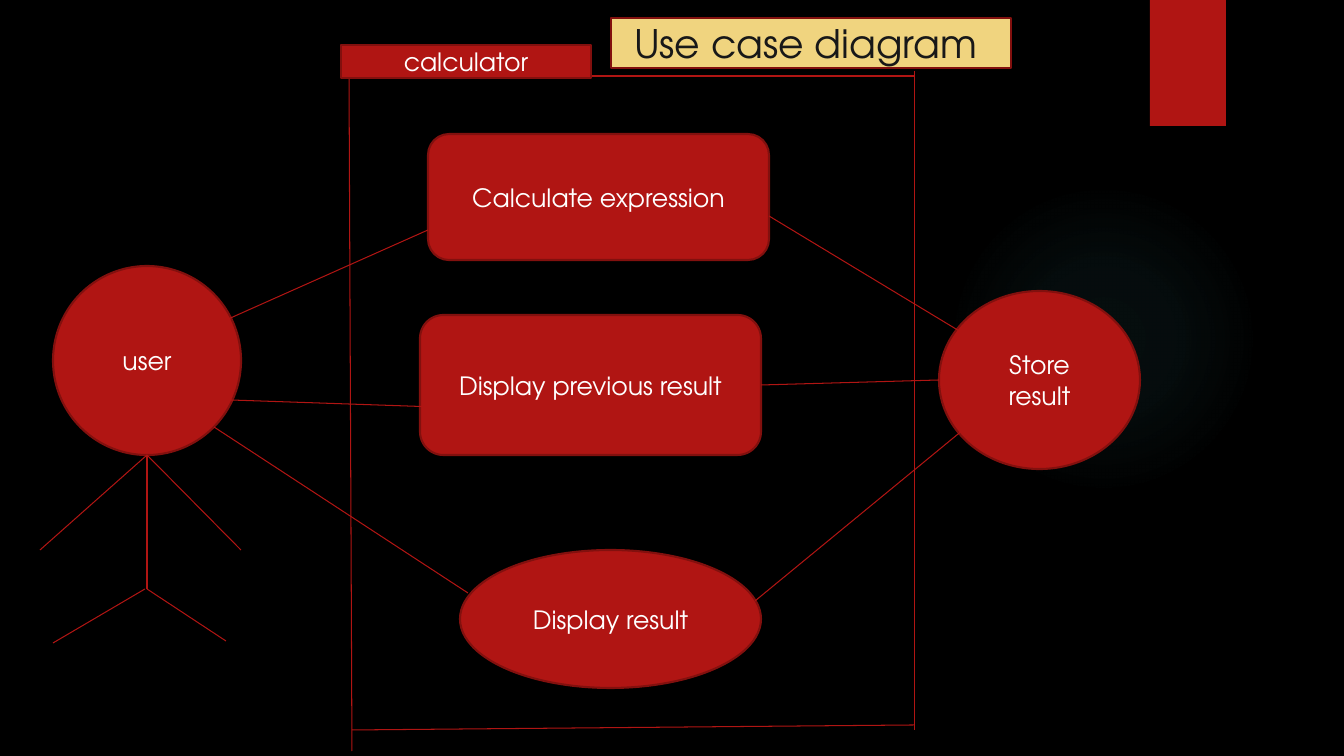
"""Build the use case diagram slide of a calculator."""
from dataclasses import dataclass

from lxml.etree import SubElement
from pptx import Presentation
from pptx.dml.color import RGBColor
from pptx.enum.shapes import MSO_CONNECTOR, MSO_SHAPE
from pptx.enum.text import MSO_ANCHOR, MSO_AUTO_SIZE, PP_ALIGN
from pptx.oxml import parse_xml
from pptx.oxml.ns import nsdecls, qn
from pptx.util import Emu, Pt

EMU_PER_PX = 914400 / 100.8


def px(length):
    """Turn whole pixels into EMU."""
    return Emu(round(length * EMU_PER_PX))


@dataclass(frozen=True)
class Theme:
    """Colours, font and sizes of the slide."""
    background: str = "000000"
    red: str = "B01513"
    dark_red: str = "82100E"
    gold: str = "F0D47F"
    white: str = "FFFFFF"
    ink: str = "181818"
    glow: str = "50B9C1"
    shadow: str = "000000"
    font: str = "TeX Gyre Adventor"
    body_size: int = 18
    title_size: int = 28
    outline: float = 1.5
    stroke: float = 0.75


class DiagramSlide:
    """Draw diagram elements on one title-only slide."""

    def __init__(self, presentation, theme):
        """Add the slide and paint its background."""
        self.theme = theme
        self.slide = presentation.slides.add_slide(presentation.slide_layouts[5])
        self.paint(self.slide.background.fill, theme.background)

    def paint(self, fill, color):
        """Apply a solid colour to a fill."""
        fill.solid()
        fill.fore_color.rgb = RGBColor.from_string(color)

    def outline(self, shape):
        """Give a shape the dark red border."""
        self.paint(shape.line.fill, self.theme.dark_red)
        shape.line.width = Pt(self.theme.outline)

    def label(self, shape, text, size, color):
        """Put centred text in a shape."""
        frame = shape.text_frame
        frame.text = text
        paragraph = frame.paragraphs[0]
        font = paragraph.runs[0].font
        formats = (
            (frame, {"word_wrap": True, "auto_size": MSO_AUTO_SIZE.NONE,
                     "vertical_anchor": MSO_ANCHOR.MIDDLE}),
            (paragraph, {"alignment": PP_ALIGN.CENTER}),
            (font, {"name": self.theme.font, "size": Pt(size)}),
        )
        for target, values in formats:
            for name, value in values.items():
                setattr(target, name, value)
        self.paint(font.fill, color)

    def plain(self, kind, box):
        """Add a red shape without border or shadow."""
        shape = self.slide.shapes.add_shape(kind, *map(px, box))
        self.paint(shape.fill, self.theme.red)
        shape.line.fill.background()
        shape.shadow.inherit = False
        return shape

    def glow(self, box):
        """Add a soft circle that fades outwards."""
        shape = self.plain(MSO_SHAPE.OVAL, box)
        stops = "".join(
            f'<a:gs pos="{position * 1000}"><a:srgbClr val="{self.theme.glow}">'
            f'<a:alpha val="{alpha * 1000}"/></a:srgbClr></a:gs>'
            for position, alpha in ((0, 7), (36, 6), (69, 0)))
        gradient = parse_xml(
            f'<a:gradFill {nsdecls("a")}><a:gsLst>{stops}</a:gsLst>'
            '<a:path path="circle"><a:fillToRect l="50000" t="50000" '
            'r="50000" b="50000"/></a:path></a:gradFill>')
        properties = shape.element.spPr
        properties.replace(properties.find(qn("a:solidFill")), gradient)

    def tab(self, box):
        """Add the red corner tab with its shadow."""
        shape = self.plain(MSO_SHAPE.RECTANGLE, box)
        effects = shape.element.spPr.find(qn("a:effectLst"))
        effects.append(parse_xml(
            f'<a:outerShdw {nsdecls("a")} blurRad="{Pt(3)}" dist="{Pt(2)}" '
            f'dir="5400000" rotWithShape="0"><a:srgbClr val="{self.theme.shadow}">'
            '<a:alpha val="45000"/></a:srgbClr></a:outerShdw>'))

    def node(self, kind, text, box):
        """Add a labelled red shape."""
        shape = self.plain(kind, box)
        self.outline(shape)
        self.label(shape, text, self.theme.body_size, self.theme.white)
        return shape

    def line(self, start, end):
        """Add a thin red line between two points."""
        connector = self.slide.shapes.add_connector(
            MSO_CONNECTOR.STRAIGHT, *map(px, (*start, *end)))
        self.paint(connector.line.fill, self.theme.red)
        connector.line.width = Pt(self.theme.stroke)
        SubElement(connector.element.spPr, qn("a:effectLst"))
        return connector

    def title(self, text, box):
        """Move and format the title placeholder."""
        shape = self.slide.shapes.title
        for name, length in zip(("left", "top", "width", "height"), box):
            setattr(shape, name, px(length))
        self.paint(shape.fill, self.theme.gold)
        self.outline(shape)
        self.label(shape, text, self.theme.title_size, self.theme.ink)


def main():
    """Draw the slide and save it."""
    presentation = Presentation()
    presentation.slide_width, presentation.slide_height = px(1344), px(756)
    diagram = DiagramSlide(presentation, Theme())

    diagram.glow((949, 184, 310, 310))
    diagram.tab((1150, 0, 76, 126))

    nodes = {
        text: diagram.node(kind, text, box)
        for kind, text, box in (
            (MSO_SHAPE.OVAL, "user", (53, 266, 188, 189)),
            (MSO_SHAPE.ROUNDED_RECTANGLE, "Calculate expression", (428, 134, 341, 126)),
            (MSO_SHAPE.ROUNDED_RECTANGLE, "Display previous result", (420, 315, 341, 140)),
            (MSO_SHAPE.OVAL, "Store result", (939, 291, 201, 178)),
            (MSO_SHAPE.OVAL, "Display result", (460, 550, 301, 138)),
        )
    }

    user_links = (((217, 324), (428, 230)), ((231, 400), (436, 407)),
                  ((214, 427), (468, 593)))
    store_links = (((769, 216), (994, 352)), ((755, 601), (980, 416)))
    neck, hip = (147, 455), (147, 589)
    limbs = ((neck, (40, 550)), (neck, (241, 550)), (neck, hip),
             ((145, 589), (53, 643)), (hip, (226, 641)))
    system_boundary = (((349, 71), (352, 751)), ((915, 71), (915, 730)),
                       ((352, 76), (915, 76)), ((352, 730), (915, 725)))
    for start, end in user_links + store_links + limbs + system_boundary:
        diagram.line(start, end)
    previous_link = diagram.line((761, 385), (939, 380))
    previous_link.begin_connect(nodes["Display previous result"], 3)

    diagram.node(MSO_SHAPE.RECTANGLE, "calculator", (341, 45, 250, 33))
    diagram.title("Use case diagram ", (611, 18, 400, 50))
    presentation.save("out.pptx")


if __name__ == "__main__":
    main()
